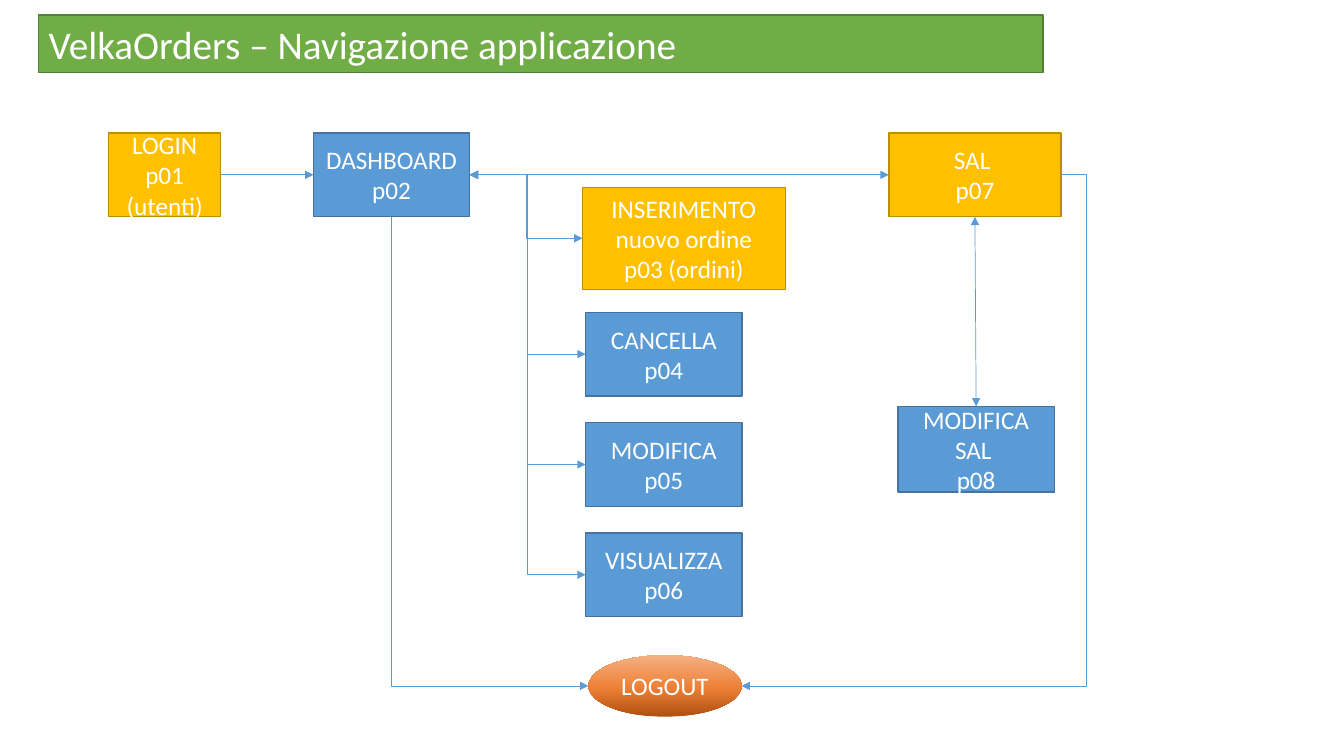
from copy import deepcopy
from pptx import Presentation
from pptx.dml.color import RGBColor
from pptx.enum import shapes as sh, text as tx
from pptx.oxml import parse_xml
from pptx.oxml.ns import nsdecls, qn
from pptx.util import Cm, Pt

BLUE, GOLD, GREEN = ("5B9BD5", "43739E"), ("FFC000", "BD8E00"), ("70AD47", "538035")
TOP, LEFT, BOTTOM, RIGHT = range(4)
ELBOW, LINE = sh.MSO_CONNECTOR.ELBOW, sh.MSO_CONNECTOR.STRAIGHT
rgb = RGBColor.from_string


def dress(shape, words, size, align, colors=None):
    """Set the text of a shape, and its fill and outline from a colour pair."""
    if colors:
        shape.fill.solid()
        shape.fill.fore_color.rgb = rgb(colors[0])
        shape.line.color.rgb = rgb(colors[1])
        shape.line.width = Pt(1)
    frame = shape.text_frame
    frame.text = words
    frame.word_wrap = True
    frame.auto_size = tx.MSO_AUTO_SIZE.NONE
    frame.vertical_anchor = tx.MSO_ANCHOR.MIDDLE
    for para in frame.paragraphs:
        para.alignment = align
        para.font.size = Pt(size)
        para.font.name = "Calibri"
        para.font.color.rgb = rgb("FFFFFF")


def join(kind, start, end, *tips):
    """Draw a thin blue line between two points, with arrows at the named tips."""
    link = slide.shapes.add_connector(kind, *start, *end)
    link.line.color.rgb = rgb(BLUE[0])
    link.line.width = Pt(0.5)
    line = link.line._get_or_add_ln()
    for tip in tips:
        line.append(parse_xml(f'<a:{tip} {nsdecls("a")} type="triangle"/>'))
    link._element.spPr.append(parse_xml(f'<a:effectLst {nsdecls("a")}/>'))
    return link


deck = Presentation()
deck.slide_width, deck.slide_height = Cm(33.87), Cm(19.05)
slide = deck.slides.add_slide(deck.slide_layouts[5])

title = slide.shapes.title
title.left, title.top, title.width, title.height = Cm(0.97), Cm(0.38), Cm(25.32), Cm(1.45)
dress(title, "VelkaOrders – Navigazione applicazione", 28, tx.PP_ALIGN.LEFT, GREEN)

# Pages of the application: text, colours, left, top, width, height
step = 2.78
pages = [
    ("LOGIN p01\n(utenti)", GOLD, 2.74, 3.35, 2.82, 2.11),
    ("DASHBOARD\np02", BLUE, 7.9, 3.35, 3.94, 2.11),
    ("INSERIMENTO nuovo ordine\np03 (ordini)", GOLD, 14.68, 4.72, 5.11, 2.57),
    ("CANCELLA p04", BLUE, 14.76, 7.87, 3.94, 2.11),
    ("MODIFICA\np05", BLUE, 14.76, 7.87 + step, 3.94, 2.11),
    ("VISUALIZZA p06", BLUE, 14.76, 7.87 + 2 * step, 3.94, 2.11),
    ("SAL \np07", GOLD, 22.4, 3.35, 4.34, 2.11),
    ("MODIFICA SAL \np08", BLUE, 22.63, 10.24, 3.94, 2.16),
]
boxes = []
for words, colors, *place in pages:
    box = slide.shapes.add_shape(sh.MSO_SHAPE.RECTANGLE, *map(Cm, place))
    box.shadow.inherit = False
    dress(box, words, 18, tx.PP_ALIGN.CENTER, colors)
    boxes.append(box)
login, dash, *orders, sal, edit = boxes

logout = slide.shapes.add_shape(
    sh.MSO_SHAPE.OVAL, Cm(14.83), Cm(16.51), Cm(3.86), Cm(1.55))
logout.shadow.inherit = False
logout.line.fill.background()
dress(logout, "LOGOUT", 18, tx.PP_ALIGN.CENTER)
logout.fill.gradient()
logout.fill.gradient_angle = 90
stops = logout._element.spPr.find(qn("a:gradFill")).find(qn("a:gsLst"))
stops.append(deepcopy(stops[0]))
shades = [(0, "B0500F"), (0.48, "EE8137"), (1, "F4B183")]
for stop, (pos, color) in zip(logout.fill.gradient_stops, shades):
    stop.position = pos
    stop.color.rgb = rgb(color)

# Links between pages: kind, first box and side, second box and side, arrow tips
both = ("headEnd", "tailEnd")
links = [
    (LINE, login, RIGHT, dash, LEFT, ("tailEnd",)),
    (LINE, dash, RIGHT, sal, LEFT, both),
    (LINE, edit, TOP, sal, BOTTOM, both),
]
links += [(ELBOW, dash, RIGHT, order, LEFT, both) for order in orders]
for kind, first, side, second, other, tips in links:
    link = join(kind, (0, 0), (0, 0), *tips)
    link.begin_connect(first, side)
    link.end_connect(second, other)

# Ways to the logout
level = logout.top + logout.height // 2
down = join(ELBOW, (logout.left, level),
            (dash.left + dash.width // 2, dash.top + dash.height), "headEnd")
down._element.spPr.prstGeom.set("prst", "bentConnector2")

back = join(ELBOW, (sal.left + sal.width, sal.top + sal.height // 2),
            (logout.left + logout.width, level), "tailEnd")
geom = back._element.spPr.prstGeom
geom.get_or_add_avLst().append(
    parse_xml(f'<a:gd {nsdecls("a")} name="adj1" fmla="val -7900"/>'))

deck.save("out.pptx")
